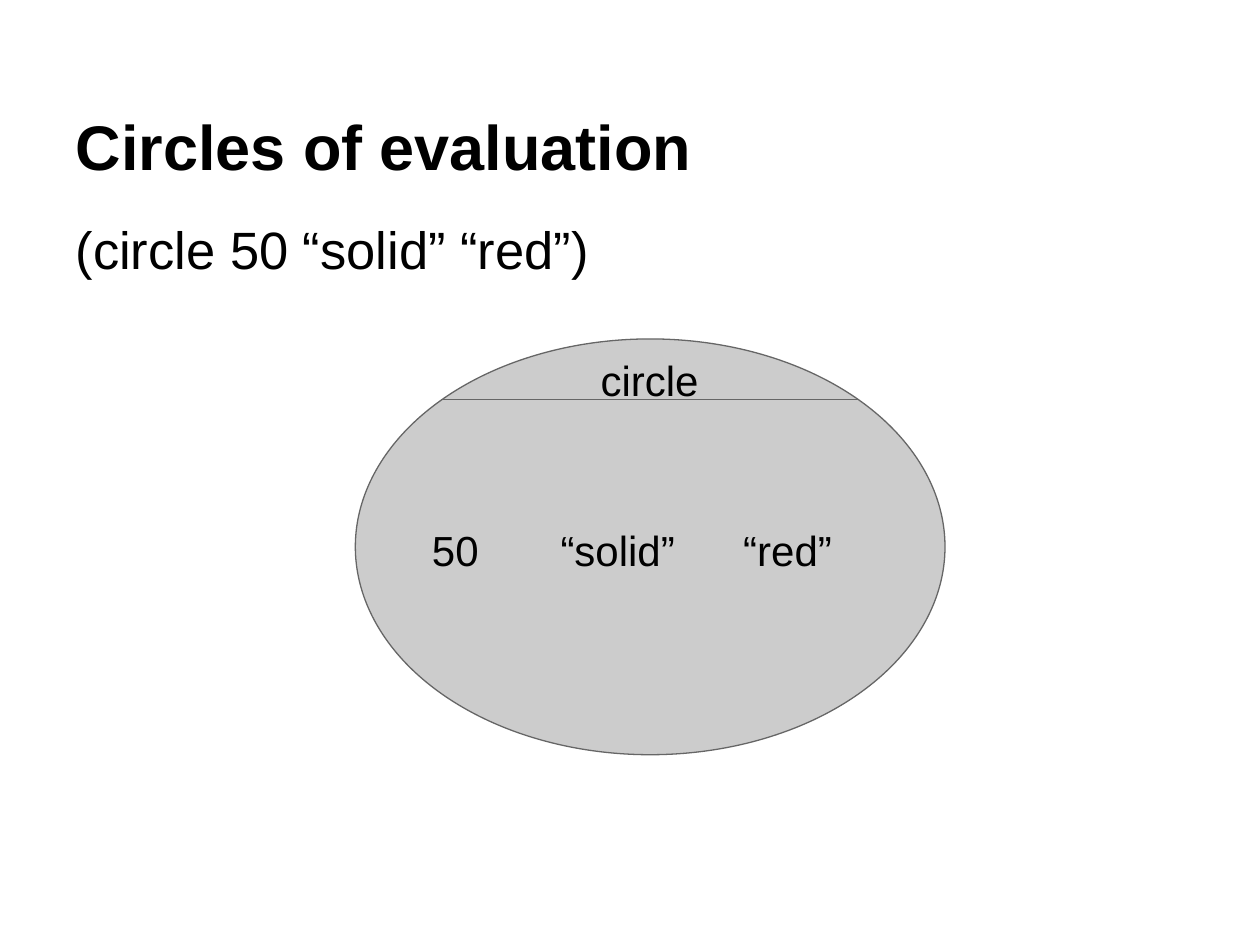
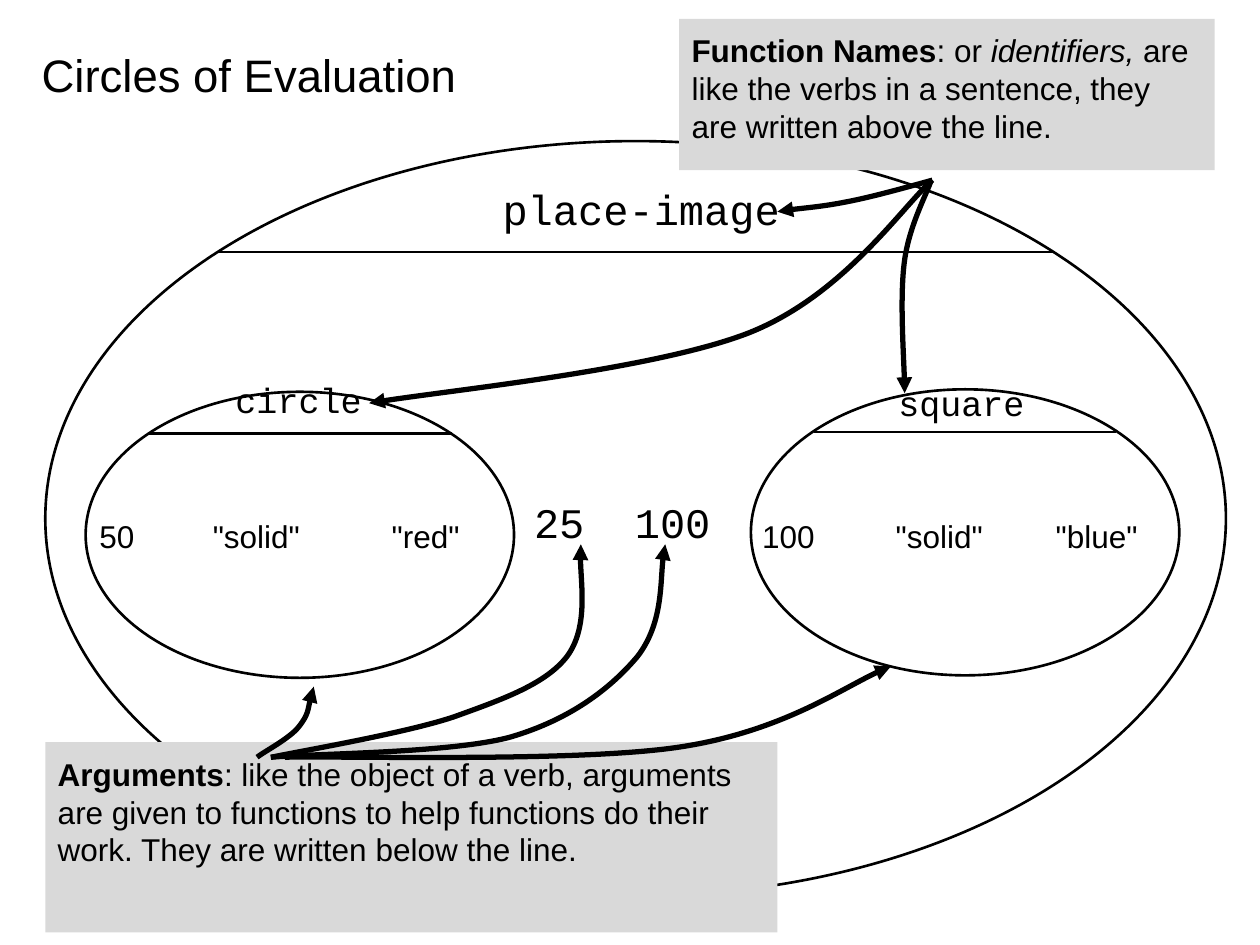
from dataclasses import dataclass
from typing import NamedTuple, Optional

from lxml.etree import SubElement
from pptx import Presentation
from pptx.dml.color import RGBColor
from pptx.enum.shapes import MSO_CONNECTOR as Connector, MSO_SHAPE as Preset
from pptx.enum.text import MSO_ANCHOR as Anchor, MSO_AUTO_SIZE as AutoSize, PP_ALIGN as Align
from pptx.oxml.ns import qn
from pptx.util import Inches, Pt

BLACK = RGBColor(0x00, 0x00, 0x00)
DARK_GRAY = RGBColor(0x66, 0x66, 0x66)
CIRCLE_GRAY = RGBColor(0xCC, 0xCC, 0xCC)
CALLOUT_GRAY = RGBColor(0xD9, 0xD9, 0xD9)
SANS, MONO = "Arial", "Courier New"
TITLE_AND_BODY, TITLE_ONLY = 1, 5


class Frame(NamedTuple):
    left: float
    top: float
    width: float
    height: float

    def lengths(self):
        return [Inches(value) for value in self]


class Span(NamedTuple):
    text: str
    bold: bool = False
    italic: bool = False


class Label(NamedTuple):
    text: str
    frame: Frame
    size: float
    font: str = SANS
    align: Align = Align.LEFT


class Callout(NamedTuple):
    frame: Frame
    spans: list[Span]


class Arrow(NamedTuple):
    """A start point, then three points for each cubic curve."""
    points: list[tuple[float, float]]


@dataclass
class EvaluationCircle:
    """An oval whose rule parts the function name from its arguments."""
    frame: Frame
    rule_left: float
    rule_right: float
    rule_top: float
    labels: list[Label]
    line_color: RGBColor = BLACK
    line_width: float = 1.5
    fill: Optional[RGBColor] = None


def argument_row(top: float, height: float, size: float, items) -> list[Label]:
    return [Label(text, Frame(left, top, width, height), size) for text, left, width in items]


def write(frame, spans: list[Span], size: float, font: str = SANS,
          align: Align = Align.LEFT, anchor: Anchor = Anchor.TOP) -> None:
    frame.word_wrap = True
    frame.auto_size = AutoSize.NONE
    frame.vertical_anchor = anchor
    frame.margin_left = frame.margin_right = Inches(0.1)
    frame.margin_top = frame.margin_bottom = Inches(0.1)
    para = frame.paragraphs[0]
    para.alignment = align
    para.space_before = Pt(0)
    for span in spans:
        run = para.add_run()
        run.text = span.text
        run.font.name = font
        run.font.size = Pt(size)
        run.font.bold = span.bold
        run.font.italic = span.italic
        run.font.color.rgb = BLACK


def place(shape, frame: Frame) -> None:
    shape.left, shape.top, shape.width, shape.height = frame.lengths()


def add_title(page, frame: Frame, span: Span, size: float, anchor: Anchor) -> None:
    title = page.shapes.title
    place(title, frame)
    write(title.text_frame, [span], size, anchor=anchor)


def add_body(page, frame: Frame, text: str, size: float) -> None:
    body = page.placeholders[1]
    place(body, frame)
    properties = body.text_frame.paragraphs[0]._p.get_or_add_pPr()
    properties.set("marL", "0")
    properties.set("indent", "0")
    SubElement(properties, qn("a:buNone"))
    write(body.text_frame, [Span(text)], size)


def add_label(page, label: Label) -> None:
    box = page.shapes.add_textbox(*label.frame.lengths())
    write(box.text_frame, [Span(label.text)], label.size, label.font, label.align)


def add_circle(page, circle: EvaluationCircle) -> None:
    oval = page.shapes.add_shape(Preset.OVAL, *circle.frame.lengths())
    oval.shadow.inherit = False
    if circle.fill is None:
        oval.fill.background()
    else:
        oval.fill.solid()
        oval.fill.fore_color.rgb = circle.fill
    top = Inches(circle.rule_top)
    rule = page.shapes.add_connector(Connector.STRAIGHT, Inches(circle.rule_left), top,
                                     Inches(circle.rule_right), top)
    SubElement(rule._element.spPr, qn("a:effectLst"))
    for outline in (oval.line, rule.line):
        outline.color.rgb = circle.line_color
        outline.width = Pt(circle.line_width)
    for label in circle.labels:
        add_label(page, label)


def add_callout(page, callout: Callout) -> None:
    box = page.shapes.add_shape(Preset.RECTANGLE, *callout.frame.lengths())
    box.shadow.inherit = False
    box.fill.solid()
    box.fill.fore_color.rgb = CALLOUT_GRAY
    box.line.fill.background()
    write(box.text_frame, callout.spans, 18)


def add_arrow(page, arrow: Arrow) -> None:
    start, *rest = [(Inches(x), Inches(y)) for x, y in arrow.points]
    builder = page.shapes.build_freeform(*start)
    builder.add_line_segments(rest, close=False)
    curve = builder.convert_to_shape()
    curve.shadow.inherit = False
    curve.fill.background()
    curve.line.color.rgb = BLACK
    curve.line.width = Pt(3)
    SubElement(curve.line._get_or_add_ln(), qn("a:tailEnd"), type="triangle")

    # Turn each three straight segments into one cubic curve.
    outline = next(curve._element.iter(qn("a:path")))
    segments = outline.findall(qn("a:lnTo"))
    for first in range(0, len(segments), 3):
        cubic = SubElement(outline, qn("a:cubicBezTo"))
        for segment in segments[first:first + 3]:
            cubic.append(segment[0])
            outline.remove(segment)


SOLID_RED = EvaluationCircle(
    Frame(2.82, 2.69, 4.68, 3.3), 3.5, 6.81, 3.17,
    [Label("circle", Frame(4.2, 2.71, 1.91, 0.46), 24, align=Align.CENTER),
     *argument_row(4.06, 0.79, 24, [("50", 3.33, 0.85), ("“solid”", 4.35, 1.15),
                                    ("“red”", 5.8, 1.15)])],
    DARK_GRAY, 0.75, CIRCLE_GRAY)

NESTED_CIRCLES = [
    EvaluationCircle(
        Frame(0.36, 1.12, 9.37, 5.99), 1.73, 8.36, 2,
        [Label("place-image", Frame(3.89, 1.36, 3.83, 0.63), 24, MONO),
         Label("25", Frame(4.14, 3.84, 0.8, 0.56), 24, MONO),
         Label("100", Frame(4.94, 3.84, 1.34, 0.56), 24, MONO)]),
    EvaluationCircle(
        Frame(0.68, 3.11, 3.4, 2.27), 1.18, 3.59, 3.44,
        [Label("circle", Frame(1.03, 2.9, 2.68, 0.48), 20, MONO, Align.CENTER),
         *argument_row(4, 0.4, 18, [("50", 0.69, 0.78), ('"solid"', 1.59, 1.28),
                                    ('"red"', 3.01, 1.15)])]),
    EvaluationCircle(
        Frame(5.96, 3.09, 3.4, 2.27), 6.46, 8.86, 3.43,
        [Label("square", Frame(6.29, 2.93, 2.68, 0.48), 20, MONO, Align.CENTER),
         *argument_row(4, 0.4, 18, [("100", 5.95, 1), ('"solid"', 7.01, 1.28),
                                    ('"blue"', 8.28, 1.15)])]),
]

ARGUMENTS = Callout(Frame(0.36, 5.89, 5.81, 1.51), [
    Span("Arguments", bold=True),
    Span(": like the object of a verb, arguments are given to functions to help "
         "functions do their work. They are written below the line."),
])
FUNCTION_NAMES = Callout(Frame(5.39, 0.15, 4.25, 1.2), [
    Span("Function Names", bold=True),
    Span(": or "),
    Span("identifiers,", italic=True),
    Span(" are like the verbs in a sentence, they are written above the line."),
])

ARGUMENT_ARROWS = [
    Arrow([(2.04, 6.01), (2.09, 5.97), (2.3, 5.86), (2.37, 5.77),
           (2.45, 5.67), (2.47, 5.5), (2.49, 5.45)]),
    Arrow([(2.15, 6.01), (2.39, 5.96), (3.21, 5.82), (3.6, 5.69), (3.99, 5.55),
           (4.33, 5.43), (4.5, 5.21), (4.67, 4.98), (4.59, 4.47), (4.61, 4.32)]),
    Arrow([(2.15, 6.01), (2.47, 5.98), (3.57, 5.98), (4.05, 5.85), (4.53, 5.71),
           (4.85, 5.46), (5.06, 5.21), (5.26, 4.95), (5.24, 4.47), (5.28, 4.32)]),
    Arrow([(2.26, 6.01), (2.78, 6), (4.59, 6.05), (5.39, 5.93),
           (6.19, 5.81), (6.79, 5.39), (7.07, 5.29)]),
]
FUNCTION_ARROWS = [
    Arrow([(7.4, 1.43), (7.29, 1.46), (6.94, 1.56), (6.73, 1.6),
           (6.53, 1.64), (6.27, 1.66), (6.17, 1.68)]),
    Arrow([(7.4, 1.43), (7.16, 1.64), (6.7, 2.34), (5.95, 2.64),
           (5.21, 2.93), (3.44, 3.11), (2.93, 3.2)]),
    Arrow([(7.39, 1.43), (7.36, 1.53), (7.22, 1.78), (7.18, 2.06),
           (7.14, 2.34), (7.18, 2.94), (7.18, 3.12)]),
]


def build_single_circle(deck) -> None:
    page = deck.slides.add_slide(deck.slide_layouts[TITLE_AND_BODY])
    add_title(page, Frame(0.5, 0.3, 9, 1.25), Span("Circles of evaluation", bold=True),
              36, Anchor.BOTTOM)
    add_body(page, Frame(0.5, 1.62, 9, 5.43), "(circle 50 “solid” “red”)", 30)
    add_circle(page, SOLID_RED)


def build_nested_circles(deck) -> None:
    page = deck.slides.add_slide(deck.slide_layouts[TITLE_ONLY])
    add_title(page, Frame(0.23, 0.27, 3.94, 0.73), Span("Circles of Evaluation"),
              26, Anchor.TOP)
    for circle in NESTED_CIRCLES:
        add_circle(page, circle)
    for callout, arrows in ((ARGUMENTS, ARGUMENT_ARROWS), (FUNCTION_NAMES, FUNCTION_ARROWS)):
        add_callout(page, callout)
        for arrow in arrows:
            add_arrow(page, arrow)


def main() -> None:
    deck = Presentation()
    deck.slide_width, deck.slide_height = Inches(10), Inches(7.5)
    build_single_circle(deck)
    build_nested_circles(deck)
    deck.save("out.pptx")


if __name__ == "__main__":
    main()
